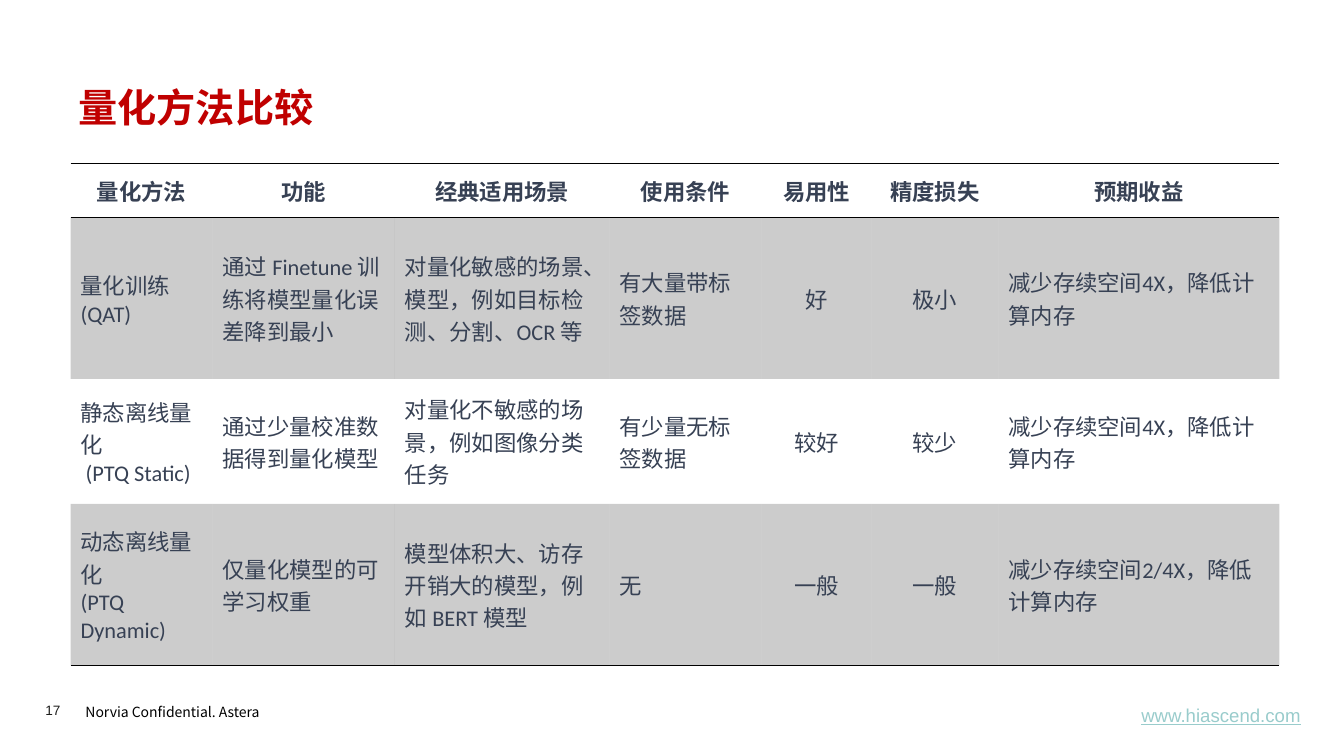
from dataclasses import dataclass

from pptx import Presentation
from pptx.dml.color import RGBColor
from pptx.enum.text import MSO_ANCHOR, MSO_AUTO_SIZE, PP_ALIGN
from pptx.oxml.ns import qn
from pptx.util import Emu, Pt
from lxml.etree import SubElement

EMU_PER_PX = 9144
CJK = "Noto Sans CJK SC"
BLACK, SLATE, RED = "000000", "374154", "C00000"
NO_STYLE = "{2D5ABB26-0587-4C30-8999-92F81FD0307C}"


@dataclass
class Style:
    size: float
    font: str
    color: str
    bold: bool = False
    underline: bool = False


@dataclass
class Label:
    text: str
    box: tuple[int, int, int, int]
    style: Style
    align: PP_ALIGN = PP_ALIGN.LEFT
    anchor: MSO_ANCHOR = MSO_ANCHOR.TOP
    inset: tuple[int, int] = (10, 5)
    spacing: float = 1.0


@dataclass
class Method:
    name: tuple[str, ...]
    function: str
    scenario: str
    condition: str
    ease: str
    loss: str
    gain: str

    def cells(self) -> list[tuple[str, ...]]:
        rest = (self.function, self.scenario, self.condition,
                self.ease, self.loss, self.gain)
        return [self.name] + [(text,) for text in rest]


HEADERS = ("量化方法", "功能", "经典适用场景", "使用条件", "易用性", "精度损失", "预期收益")
METHODS = (
    Method(("量化训练 (QAT)",), "通过 Finetune 训练将模型量化误差降到最小",
           "对量化敏感的场景、模型，例如目标检测、分割、OCR 等",
           "有大量带标签数据", "好", "极小", "减少存续空间4X，降低计算内存"),
    Method(("静态离线量化", " (PTQ Static)"), "通过少量校准数据得到量化模型",
           "对量化不敏感的场景，例如图像分类任务",
           "有少量无标签数据", "较好", "较少", "减少存续空间4X，降低计算内存"),
    Method(("动态离线量化", "(PTQ Dynamic)"), "仅量化模型的可学习权重",
           "模型体积大、访存开销大的模型，例如 BERT 模型",
           "无", "一般", "一般", "减少存续空间2/4X，降低计算内存"),
)
COL_WIDTHS = (141, 181, 213, 151, 109, 126, 279)
ROW_HEIGHTS = (54, 160, 124, 160)
CENTERED_COLS = (4, 5)

TITLE = Label("量化方法比较", (68, 74, 1199, 64),
              Style(28, "TeX Gyre Adventor", RED, bold=True), anchor=MSO_ANCHOR.MIDDLE)
FOOTERS = (
    Label("Norvia Confidential. Astera", (75, 690, 313, 29), Style(10, CJK, BLACK), spacing=1.2),
    Label("17", (45, 696, 55, 16), Style(9.7, "Arial", "1D1D1B"), inset=(0, 0)),
    Label("www.hiascend.com", (1104, 688, 216, 43),
          Style(13.3, "Arial", "99CCCC", underline=True), PP_ALIGN.CENTER, MSO_ANCHOR.MIDDLE),
)


def px(n: int) -> Emu:
    return Emu(n * EMU_PER_PX)


def rgb(value: str) -> RGBColor:
    return RGBColor.from_string(value)


def add_run(p, text: str, style: Style) -> None:
    r = p.add_run()
    r.text = text
    r.font.size = Pt(style.size)
    r.font.name = style.font
    r.font.bold = style.bold
    r.font.underline = style.underline
    r.font.color.rgb = rgb(style.color)
    ea = SubElement(r.font._element, qn("a:ea"))
    ea.set("typeface", CJK)


def fill_label(sp, label: Label) -> None:
    sp.left, sp.top, sp.width, sp.height = map(px, label.box)
    tf = sp.text_frame
    tf.word_wrap = True
    tf.auto_size = MSO_AUTO_SIZE.NONE
    tf.vertical_anchor = label.anchor
    tf.margin_left = tf.margin_right = px(label.inset[0])
    tf.margin_top = tf.margin_bottom = px(label.inset[1])
    p = tf.paragraphs[0]
    p.alignment = label.align
    p.line_spacing = label.spacing
    add_run(p, label.text, label.style)


def add_border(cell, side: str) -> None:
    ln = SubElement(cell._tc.get_or_add_tcPr(), qn(f"a:{side}"), w=str(Pt(1)))
    solid = SubElement(ln, qn("a:solidFill"))
    SubElement(solid, qn("a:srgbClr"), val=BLACK)


def shade(cell) -> None:
    cell.fill.solid()
    cell.fill.fore_color.rgb = rgb(BLACK)
    clr = cell._tc.tcPr.find(qn("a:solidFill")).find(qn("a:srgbClr"))
    SubElement(clr, qn("a:alpha"), val="20000")


def fill_cell(cell, lines: tuple[str, ...], style: Style, align: PP_ALIGN) -> None:
    cell.vertical_anchor = MSO_ANCHOR.MIDDLE
    cell.margin_left = cell.margin_right = px(10)
    cell.margin_top = cell.margin_bottom = px(6)
    tf = cell.text_frame
    for i, line in enumerate(lines):
        p = tf.add_paragraph() if i else tf.paragraphs[0]
        p.alignment = align
        add_run(p, line, style)


def add_methods_table(s) -> None:
    rows = [[(text,) for text in HEADERS]] + [m.cells() for m in METHODS]
    frame = s.shapes.add_table(len(rows), len(HEADERS), px(70), px(162),
                               px(sum(COL_WIDTHS)), px(sum(ROW_HEIGHTS)))
    table = frame.table
    table.first_row = table.horz_banding = False
    table._tbl.tblPr.find(qn("a:tableStyleId")).text = NO_STYLE
    for col, width in zip(table.columns, COL_WIDTHS):
        col.width = px(width)
    for row, height in zip(table.rows, ROW_HEIGHTS):
        row.height = px(height)
    for i, row in enumerate(rows):
        header = i == 0
        style = Style(16, "Calibri", SLATE, bold=header)
        for j, lines in enumerate(row):
            cell = table.cell(i, j)
            centered = header or j in CENTERED_COLS
            fill_cell(cell, lines, style, PP_ALIGN.CENTER if centered else PP_ALIGN.LEFT)
            if header:
                add_border(cell, "lnT")
            if header or i == len(rows) - 1:
                add_border(cell, "lnB")
            if i % 2:
                shade(cell)
            else:
                cell.fill.background()


def main() -> None:
    prs = Presentation()
    prs.slide_width, prs.slide_height = px(1334), px(750)
    s = prs.slides.add_slide(prs.slide_layouts[5])
    fill_label(s.shapes.title, TITLE)
    add_methods_table(s)
    for label in FOOTERS:
        fill_label(s.shapes.add_textbox(*map(px, label.box)), label)
    prs.save("out.pptx")


if __name__ == "__main__":
    main()
